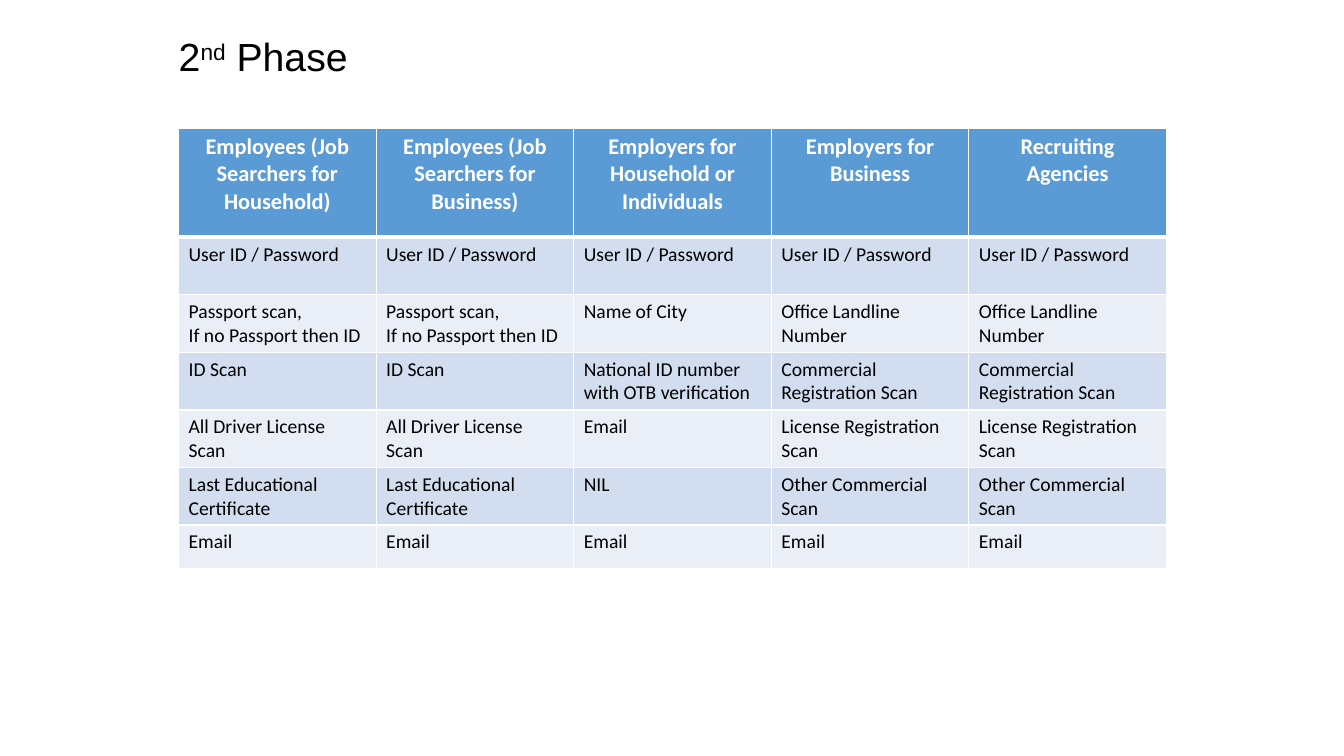
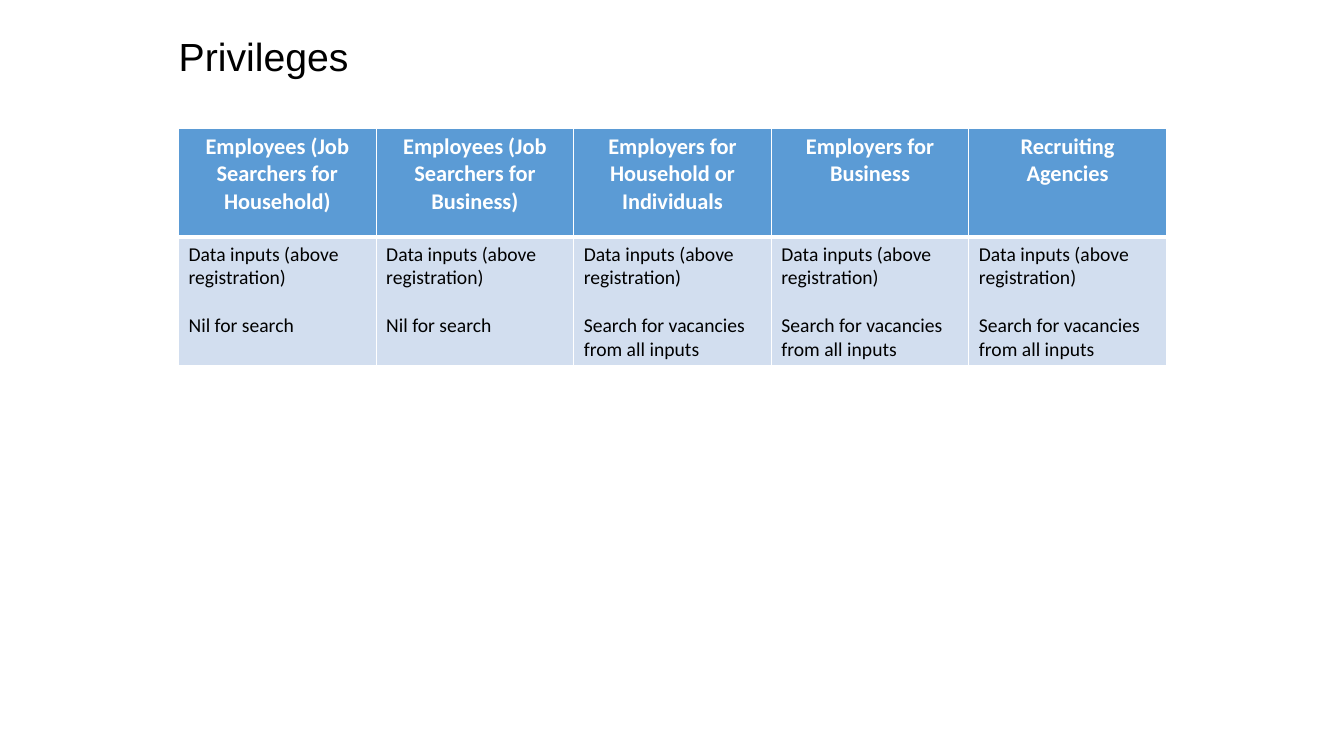
import dataclasses

import lxml.etree
import pptx
import pptx.dml.color
import pptx.enum.text
import pptx.oxml.ns
import pptx.util

Cm = pptx.util.Cm
Pt = pptx.util.Pt
Align = pptx.enum.text.PP_ALIGN


@dataclasses.dataclass(frozen=True)
class Theme:
    """Colours, fonts and type sizes shared by all slides."""
    text: str = "000000"
    inverse: str = "FFFFFF"
    border: str = "FFFFFF"
    header: str = "5B9BD5"
    bands: tuple = ("D2DEEF", "EAEFF7")
    title_font: str = "Arial"
    table_font: str = "Calibri"
    title_size: int = 28
    header_size: int = 16
    cell_size: int = 14
    thin: int = 1
    thick: int = 3


# Table content: one list per column, shared where the roles match
HEADINGS = [
    "Employees (Job Searchers for Household)",
    "Employees (Job Searchers for Business)",
    "Employers for Household or Individuals",
    "Employers for Business",
    "Recruiting Agencies",
]
LOGIN = "User ID / Password"
SEARCHER = [LOGIN, "Passport scan,\nIf no Passport then ID", "ID Scan",
            "All Driver License Scan", "Last Educational Certificate", "Email"]
INDIVIDUAL = [LOGIN, "Name of City", "National ID number with OTB verification",
              "Email", "NIL", "Email"]
COMPANY = [LOGIN, "Office Landline Number", "Commercial Registration Scan",
           "License Registration Scan", "Other Commercial Scan", "Email"]
REGISTRATION = [SEARCHER, SEARCHER, INDIVIDUAL, COMPANY, COMPANY]

DATA_INPUTS = "Data inputs (above registration)\n"
NO_SEARCH = DATA_INPUTS + "Nil for search"
FULL_SEARCH = DATA_INPUTS + "Search for vacancies from all inputs"
PRIVILEGES = [NO_SEARCH] * 2 + [FULL_SEARCH] * 3


def write_text(frame, text, *, font, size, color, bold=False,
               align=Align.LEFT, gap=0):
    """Write one paragraph per line; text between ^ marks is superscript."""
    for number, line in enumerate(text.split("\n")):
        paragraph = frame.add_paragraph() if number else frame.paragraphs[0]
        paragraph.alignment = align
        paragraph.space_before = Pt(gap if number else 0)
        for position, piece in enumerate(line.split("^")):
            run = paragraph.add_run()
            run.text = piece
            run.font.name = font
            run.font.size = Pt(size)
            run.font.bold = bold
            run.font.color.rgb = pptx.dml.color.RGBColor.from_string(color)
            if position % 2:
                run._r.get_or_add_rPr().set("baseline", "30000")


def set_borders(cell, color, **widths):
    """Draw cell borders; the widths are given in points for L, R, T and B."""
    properties = cell._tc.get_or_add_tcPr()
    qn = pptx.oxml.ns.qn
    for side, width in widths.items():
        line = lxml.etree.SubElement(properties, qn(f"a:ln{side}"), w=str(Pt(width)))
        fill = lxml.etree.SubElement(line, qn("a:solidFill"))
        lxml.etree.SubElement(fill, qn("a:srgbClr"), val=color)


class Deck:
    """Holds the presentation, its theme and the current slide."""

    def __init__(self, theme):
        self.theme = theme
        self.presentation = pptx.Presentation()
        self.presentation.slide_width = Cm(33.87)
        self.presentation.slide_height = Cm(19.05)
        self.slide = None

    def add_slide(self, title, title_width):
        layout = self.presentation.slide_layouts.get_by_name("Title Only")
        self.slide = self.presentation.slides.add_slide(layout)
        shape = self.slide.shapes.title
        shape.left, shape.top = Cm(4.25), Cm(0.69)
        shape.width, shape.height = Cm(title_width), Cm(1.45)
        frame = shape.text_frame
        frame.word_wrap = False
        frame.auto_size = pptx.enum.text.MSO_AUTO_SIZE.SHAPE_TO_FIT_TEXT
        frame.vertical_anchor = pptx.enum.text.MSO_ANCHOR.MIDDLE
        write_text(frame, title, font=self.theme.title_font,
                   size=self.theme.title_size, color=self.theme.text)

    def add_table(self, rows, heights, gap=0):
        shape = self.slide.shapes.add_table(
            len(rows), len(rows[0]), Cm(4.5), Cm(3.23), Cm(24.9), Cm(sum(heights)))
        table = shape.table
        for column in table.columns:
            column.width = Cm(24.9 / len(rows[0]))
        for row_number, (texts, height) in enumerate(zip(rows, heights)):
            table.rows[row_number].height = Cm(height)
            for column_number, text in enumerate(texts):
                self.fill_cell(table.cell(row_number, column_number),
                               text, row_number, gap)

    def fill_cell(self, cell, text, row_number, gap):
        theme = self.theme
        is_header = row_number == 0
        set_borders(cell, theme.border, L=theme.thin, R=theme.thin,
                    T=theme.thick if row_number == 1 else theme.thin,
                    B=theme.thick if is_header else theme.thin)
        color = theme.header if is_header else theme.bands[(row_number - 1) % 2]
        cell.fill.solid()
        cell.fill.fore_color.rgb = pptx.dml.color.RGBColor.from_string(color)
        write_text(cell.text_frame, text, font=theme.table_font,
                   size=theme.header_size if is_header else theme.cell_size,
                   color=theme.inverse if is_header else theme.text,
                   bold=is_header, gap=gap,
                   align=Align.CENTER if is_header else Align.LEFT)


def main():
    deck = Deck(Theme())

    # Registration data of the second phase
    deck.add_slide("2^nd^ Phase", title_width=4.93)
    deck.add_table([HEADINGS, *zip(*REGISTRATION)],
                   heights=[2.75] + [1.45] * 5 + [1.11])

    # Privileges, with a line's gap between the two entries of a cell
    deck.add_slide("Privileges", title_width=4.85)
    deck.add_table([HEADINGS, PRIVILEGES], heights=[2.75, 3.2], gap=17)

    deck.presentation.save("out.pptx")


if __name__ == "__main__":
    main()
